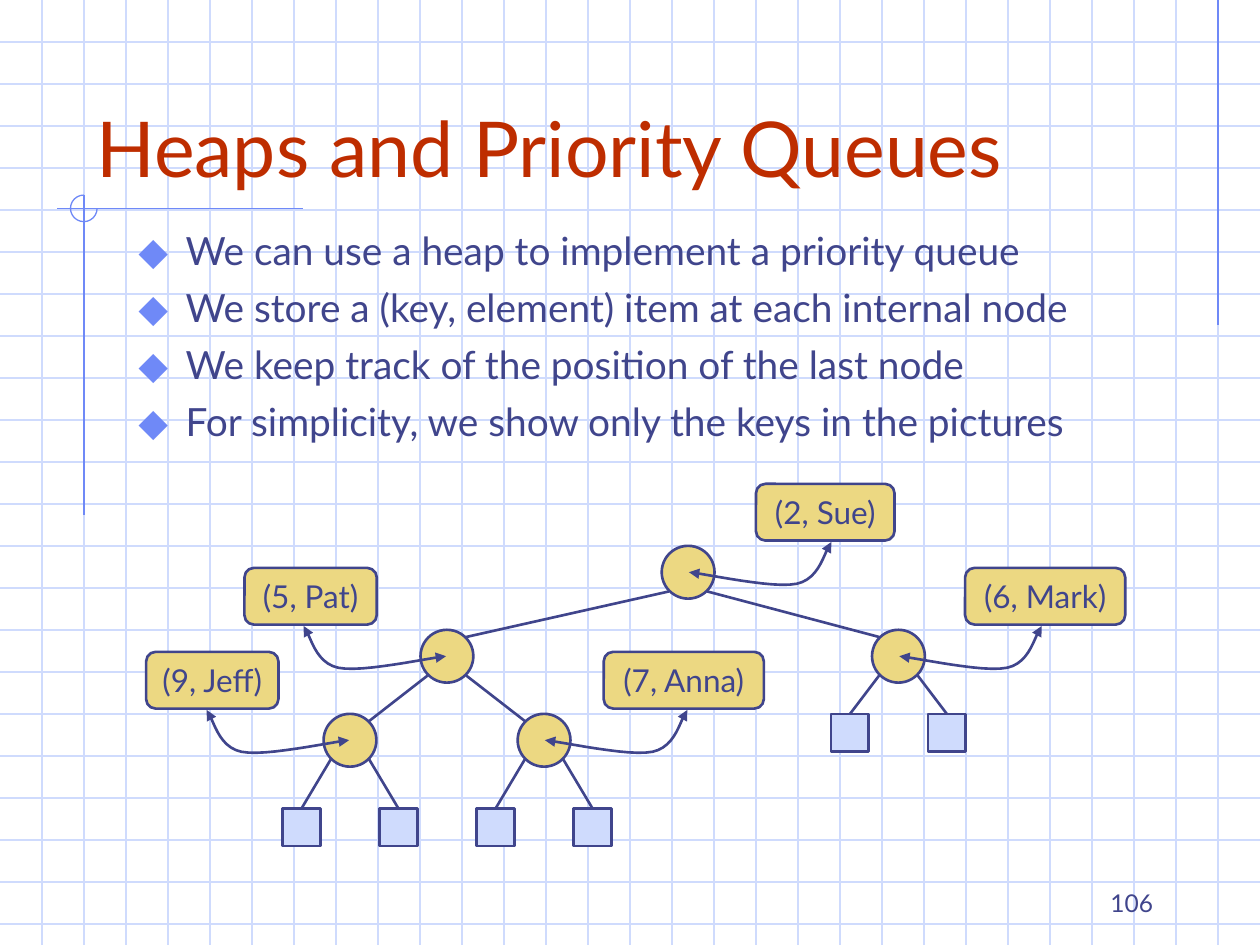
from dataclasses import dataclass

from lxml import etree
from pptx import Presentation
from pptx.dml.color import RGBColor
from pptx.enum.shapes import MSO_CONNECTOR, MSO_SHAPE
from pptx.enum.text import MSO_ANCHOR, PP_ALIGN
from pptx.oxml.ns import qn
from pptx.util import Pt

LINE = MSO_CONNECTOR.STRAIGHT
OVAL, RECT, ROUND, ARC = (MSO_SHAPE.OVAL, MSO_SHAPE.RECTANGLE,
                          MSO_SHAPE.ROUNDED_RECTANGLE, MSO_SHAPE.ARC)
LEFT, MID, RIGHT = PP_ALIGN.LEFT, PP_ALIGN.CENTER, PP_ALIGN.RIGHT
TOP, CENTER, BOTTOM = MSO_ANCHOR.TOP, MSO_ANCHOR.MIDDLE, MSO_ANCHOR.BOTTOM
FONT = "Lato"
INK, RED, GOLD, PALE, BLUE = "40458C", "BE2D00", "ECD882", "CFDBFD", "6F89F7"
WIDE, HIGH, GRID = 720, 540, 24
NODE, LEAF, TAG = 30.2, 21.6, 32.4  # circle, square and label heights
DIAG = 11  # edge offset from a circle's centre
FORK = 27.7  # leaf offset from its parent
RISE = 50.5  # label top above its node's centre
# Bézier points of a hook, from the node's centre to its label
HOOK = [(0, 0), (10.4, 1), (48, 9.5), (61.6, 6.6),
        (75.2, 3.7), (77.4, -12.4), (81.4, -17.3)]
POINTS = [
    "We can use a heap to implement a priority queue",
    "We store a (key, element) item at each internal node",
    "We keep track of the position of the last node",
    "For simplicity, we show only the keys in the pictures",
]


@dataclass
class Node:
    x: float
    y: float
    tag: str
    left: float  # label's left
    wide: float  # label's width
    kids: tuple = ()
    drop: float = 0  # leaf top below the centre; 0 for no leaves


TREE = [
    Node(393.2, 327, "(2, Sue)", 432, 79.2, (1, 2)),
    Node(255.4, 375, "(5, Pat)", 139.7, 75.6, (3, 4)),
    Node(513.4, 375, "(6, Mark)", 551.5, 91.5, drop=33),
    Node(200, 423, "(9, Jeff)", 83.5, 75.6, drop=39),
    Node(310.9, 423, "(7, Anna)", 345, 91.5, drop=39),
]


def hue(code: str) -> RGBColor:
    return RGBColor.from_string(code)


def wire(slide, x1: float, y1: float, x2: float, y2: float,
         tint: str = INK, size: float = 1.5):
    line = slide.shapes.add_connector(LINE, Pt(x1), Pt(y1), Pt(x2), Pt(y2))
    line.line.color.rgb = hue(tint)
    line.line.width = Pt(size)
    props = line._element.spPr
    etree.SubElement(props, qn("a:effectLst"))
    return line


def style(shape, fill: str = "", tint: str = INK, size: float = 1.5):
    shape.shadow.inherit = False
    if fill:
        shape.fill.solid()
        shape.fill.fore_color.rgb = hue(fill)
    else:
        shape.fill.background()
    shape.line.color.rgb = hue(tint)
    shape.line.width = Pt(size)
    return shape


def block(slide, kind, x: float, y: float, w: float, h: float, fill: str):
    return style(slide.shapes.add_shape(kind, Pt(x), Pt(y), Pt(w), Pt(h)), fill)


def write(shape, text: str, size: float, tint: str = INK,
          align=LEFT, anchor=TOP, wrap: bool = True):
    frame = shape.text_frame
    frame.text = text
    frame.word_wrap = wrap
    frame.vertical_anchor = anchor
    for para in frame.paragraphs:
        para.alignment = align
        for run in para.runs:
            run.font.name = FONT
            run.font.size = Pt(size)
            run.font.color.rgb = hue(tint)
    return frame


def box(slide, x: float, y: float, w: float, h: float):
    return slide.shapes.add_textbox(Pt(x), Pt(y), Pt(w), Pt(h))


def bullet(para) -> None:
    props = para._p.get_or_add_pPr()
    props.set("marL", str(Pt(27)))
    props.set("indent", str(Pt(-27)))
    tint = etree.SubElement(props, qn("a:buClr"))
    etree.SubElement(tint, qn("a:srgbClr"), val=BLUE)
    etree.SubElement(props, qn("a:buSzPct"), val="110000")
    etree.SubElement(props, qn("a:buFont"), typeface=FONT)
    etree.SubElement(props, qn("a:buChar"), char="⬥")


def curve(knots: list, steps: int = 12) -> list:
    """Sample a chain of cubic Béziers."""
    spots = [knots[0]]
    for i in range(0, len(knots) - 1, 3):
        a, b, c, d = knots[i:i + 4]
        for k in range(1, steps + 1):
            t = k / steps
            u = 1 - t
            spots.append(tuple(
                u**3 * p + 3 * u * u * t * q + 3 * u * t * t * r + t**3 * s
                for p, q, r, s in zip(a, b, c, d)))
    return spots


def hook(slide, node: Node) -> None:
    """Draw the double arrow between a node and its label."""
    side = 1 if node.left > node.x else -1
    spots = [(Pt(node.x + side * (x + 0.5)), Pt(node.y + y))
             for x, y in curve(HOOK)]
    path = slide.shapes.build_freeform(*spots[0], scale=1.0)
    path.add_line_segments(spots[1:], close=False)
    shape = style(path.convert_to_shape())
    stroke = shape.line._get_or_add_ln()
    for end in ("a:headEnd", "a:tailEnd"):
        etree.SubElement(stroke, qn(end), type="triangle")


def paper(slide) -> None:
    """Draw the squared paper and its margin marks."""
    for y in range(GRID, HIGH, GRID):
        wire(slide, 0, y, WIDE, y, PALE, 0.75)
    for x in range(GRID, WIDE, GRID):
        wire(slide, x, 0, x, HIGH, PALE, 0.75)
    for ends in ((696, 0, 696, 186), (173, 119.2, 32.6, 119.2),
                 (48, 111.6, 48, 294.5)):
        wire(slide, *ends, BLUE, 0.75)
    ring = slide.shapes.add_shape(ARC, Pt(40.3), Pt(111.5), Pt(15.2), Pt(15.2))
    ring.adjustments[0] = 0
    ring.adjustments[1] = 162  # 270 degrees, 0.6 per degree
    style(ring, "", BLUE, 0.75)


def tree(slide) -> None:
    for node in TREE:
        block(slide, OVAL, node.x - NODE / 2, node.y - NODE / 2,
              NODE, NODE, GOLD)
    for node in TREE:
        for side, kid in zip((-1, 1), node.kids):
            sub = TREE[kid]
            wire(slide, node.x + side * DIAG, node.y + DIAG,
                 sub.x - side * DIAG, sub.y - DIAG)
        for side in (-1, 1) if node.drop else ():
            x, y = node.x + side * FORK, node.y + node.drop
            leaf = block(slide, RECT, x - LEAF / 2, y, LEAF, LEAF, PALE)
            edge = wire(slide, node.x + side * DIAG, node.y + DIAG, x, y)
            edge.end_connect(leaf, 0)
    for node in TREE:
        tag = block(slide, ROUND, node.left, node.y - RISE,
                    node.wide, TAG, GOLD)
        write(tag, node.tag, 18, align=MID, anchor=CENTER, wrap=False)
        hook(slide, node)


def main() -> None:
    deck = Presentation()
    deck.slide_width, deck.slide_height = Pt(WIDE), Pt(HIGH)
    slide = deck.slides.add_slide(deck.slide_layouts[6])
    paper(slide)
    write(box(slide, 48, 24, 612, 90), "Heaps and Priority Queues",
          44, RED, anchor=BOTTOM)
    body = write(box(slide, 72, 126, 606, 150), "\n".join(POINTS), 22.2)
    for i, para in enumerate(body.paragraphs):
        para.space_before = Pt(6 if i else 0)
        bullet(para)
    tree(slide)
    write(box(slide, 516, 492, 150, 36), "106", 14, align=RIGHT, anchor=BOTTOM)
    deck.save("out.pptx")


if __name__ == "__main__":
    main()
